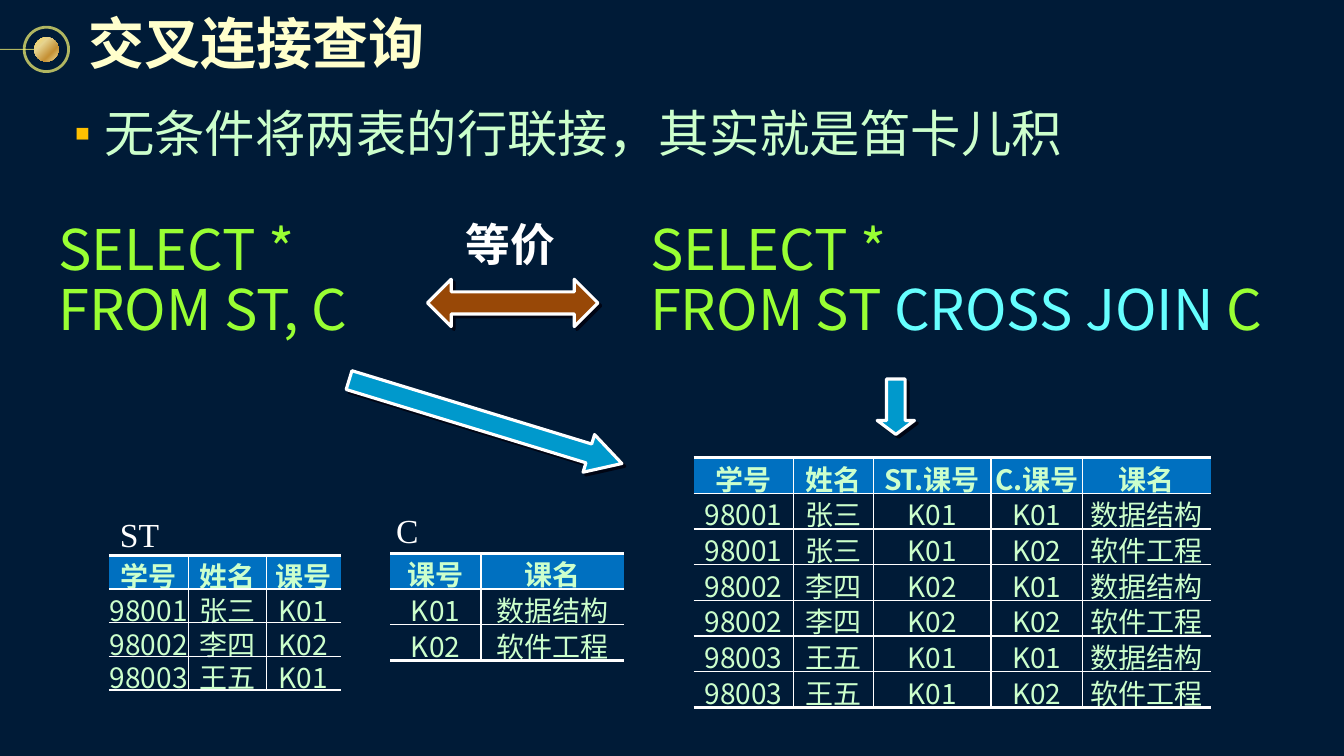
from lxml.etree import SubElement
from pptx import Presentation
from pptx.dml.color import RGBColor
from pptx.enum.shapes import MSO_CONNECTOR, MSO_SHAPE
from pptx.enum.text import MSO_ANCHOR, PP_ALIGN
from pptx.oxml.ns import qn
from pptx.util import Inches, Pt

NAVY = RGBColor(0x00, 0x1B, 0x37)
CREAM = RGBColor(0xFF, 0xFF, 0xCC)
MINT = RGBColor(0xCC, 0xFF, 0xCC)
LIME = RGBColor(0x99, 0xFF, 0x33)
CYAN = RGBColor(0x66, 0xFF, 0xFF)
WHITE = RGBColor(0xFF, 0xFF, 0xFF)
BLUE = RGBColor(0x00, 0x70, 0xC0)
TEAL = RGBColor(0x00, 0x99, 0xCC)
BROWN = RGBColor(0x98, 0x48, 0x07)
AMBER = RGBColor(0xFF, 0xC0, 0x00)
GOLD = RGBColor(0xFC, 0xF8, 0x73)
SHADE = RGBColor(0x00, 0x05, 0x14)
SHEEN = [(0, RGBColor(0xFC, 0xD8, 0x60)), (31, RGBColor(0xE6, 0xD3, 0x8F)),
         (68, RGBColor(0xC6, 0x91, 0x35)), (100, RGBColor(0xF1, 0xDF, 0x97))]

SANS = "Noto Sans CJK SC"
SERIF = "Times New Roman"
FLUSH = dict.fromkeys(
    ("margin_left", "margin_top", "margin_right", "margin_bottom"), 0)

JOINED = ["学号 姓名 ST.课号 C.课号 课名",
          "98001 张三 K01 K01 数据结构",
          "98001 张三 K01 K02 软件工程",
          "98002 李四 K02 K01 数据结构",
          "98002 李四 K02 K02 软件工程",
          "98003 王五 K01 K01 数据结构",
          "98003 王五 K01 K02 软件工程"]
STUDENTS = ["学号 姓名 课号", "98001 张三 K01", "98002 李四 K02", "98003 王五 K01"]
COURSES = ["课号 课名", "K01 数据结构", "K02 软件工程"]


def assign(item, values):
    for name, value in values.items():
        setattr(item, name, value)


def child(node, tag, **values):
    return SubElement(node, qn(tag), {k: str(v) for k, v in values.items()})


def color(node, rgb, alpha=100):
    tint = child(node, "a:srgbClr", val=rgb)
    if alpha < 100:
        child(tint, "a:alpha", val=alpha * 1000)


def box(left, top, width, height):
    return [Inches(n) for n in (left, top, width, height)]


def add_run(para, text, size, rgb, name=SANS, bold=False):
    run = para.add_run()
    run.text = text
    assign(run.font, {"size": Pt(size), "name": name, "bold": bold})
    run.font.color.rgb = rgb
    child(run.font._element, "a:ea", typeface=name)
    return run


def add_text(slide, place, lines, size, name=SANS, bold=False, frame=None, para=None):
    """Each line is a list of (text, colour) pairs."""
    body = slide.shapes.add_textbox(*box(*place)).text_frame
    assign(body, {"word_wrap": True, **(frame or {})})
    for i, line in enumerate(lines):
        item = body.add_paragraph() if i else body.paragraphs[0]
        assign(item, para or {})
        for text, rgb in line:
            add_run(item, text, size, rgb, name, bold)
    return body


def add_shadow(node, rgb):
    child(node, "a:outerShdw", blurRad=0, dist=Pt(2.8), dir=45 * 60000)
    color(node[-1], rgb)


def add_title(slide, text):
    title = slide.shapes.title
    values = dict(zip(("left", "top", "width", "height"), box(0.8, 0, 3.55, 0.83)))
    assign(title, values)
    edges = dict.fromkeys(FLUSH, Inches(0.08))
    assign(title.text_frame,
           {"word_wrap": False, "vertical_anchor": MSO_ANCHOR.MIDDLE, **edges})
    para = title.text_frame.paragraphs[0]
    para.alignment = PP_ALIGN.LEFT
    run = add_run(para, text, 40, CREAM, bold=True)
    effect = run.font._element.makeelement(qn("a:effectLst"))
    run.font._element.find(qn("a:solidFill")).addnext(effect)
    add_shadow(effect, SHADE)


def add_bullet(para):
    props = para._p.get_or_add_pPr()
    assign_xml = {"marL": Inches(0.3), "indent": -Inches(0.3)}
    for name, value in assign_xml.items():
        props.set(name, str(value))
    color(child(props, "a:buClr"), AMBER)
    child(props, "a:buSzPct", val=85000)
    child(props, "a:buFont", typeface=SANS)
    child(props, "a:buChar", char="▪")


def add_arrow(slide, kind, place, turn, head, rgb):
    arrow = slide.shapes.add_shape(kind, *box(*place))
    arrow.rotation = turn
    arrow.adjustments[0] = 0.5
    arrow.adjustments[1] = head
    arrow.fill.solid()
    arrow.fill.fore_color.rgb = rgb
    arrow.line.color.rgb = WHITE
    arrow.line.width = Pt(2.25)
    arrow.shadow.inherit = False
    add_shadow(arrow._element.spPr.find(qn("a:effectLst")), SHADE)


def set_edge(props, side, width):
    edge = child(props, f"a:ln{side}", w=Pt(width))
    if width:
        color(child(edge, "a:solidFill"), WHITE)
    else:
        child(edge, "a:noFill")


def add_grid(slide, place, widths, lines):
    rows = [line.split() for line in lines]
    last, end = len(rows) - 1, len(widths) - 1
    table = slide.shapes.add_table(len(rows), len(widths), *box(*place)).table
    assign(table, {"first_row": False, "horz_banding": False})
    for col, width in zip(table.columns, widths):
        col.width = Inches(width)
    for r, row in enumerate(rows):
        table.rows[r].height = Inches(place[3] / len(rows))
        for c, text in enumerate(row):
            cell = table.cell(r, c)
            assign(cell, FLUSH)
            edges = {"L": 1 if c else 0, "R": 1 if c < end else 0,
                     "T": 1 if r else 2.25, "B": 1 if r < last else 2.25}
            for side, width in edges.items():
                set_edge(cell._tc.get_or_add_tcPr(), side, width)
            if r:
                cell.fill.background()
            else:
                cell.fill.solid()
                cell.fill.fore_color.rgb = BLUE
            para = cell.text_frame.paragraphs[0]
            para.alignment = PP_ALIGN.CENTER
            add_run(para, text, 20, MINT, bold=r == 0)


def gild(line, width):
    line.color.rgb = GOLD
    line.width = Pt(width)
    tint = line._ln.find(qn("a:solidFill"))[0]
    child(tint, "a:alpha", val=70000)


def add_disc(slide, place):
    disc = slide.shapes.add_shape(MSO_SHAPE.OVAL, *box(*place))
    disc.rotation = 270
    disc.shadow.inherit = False
    disc.fill.background()
    return disc


def add_badge(slide):
    gild(add_disc(slide, (0.24, 0.27, 0.44, 0.44)).line, 2)
    rule = slide.shapes.add_connector(
        MSO_CONNECTOR.STRAIGHT, *box(0, 0.49, 0.34, 0.49))
    gild(rule.line, 0.75)
    child(rule._element.spPr, "a:effectLst")
    bead = add_disc(slide, (0.34, 0.37, 0.24, 0.24))
    bead.line.fill.background()
    blank = bead._element.spPr.find(qn("a:noFill"))
    fill = blank.makeelement(qn("a:gradFill"), {"rotWithShape": "1"})
    blank.getparent().replace(blank, fill)
    stops = child(fill, "a:gsLst")
    for pos, rgb in SHEEN:
        color(child(stops, "a:gs", pos=pos * 1000), rgb)
    child(fill, "a:lin", ang=135 * 60000, scaled=0)


def main():
    deck = Presentation()
    assign(deck, {"slide_width": Inches(13.33), "slide_height": Inches(7.5)})
    slide = deck.slides.add_slide(deck.slide_layouts[5])
    slide.background.fill.solid()
    slide.background.fill.fore_color.rgb = NAVY

    add_badge(slide)
    add_title(slide, "交叉连接查询")
    point = add_text(slide, (0.51, 0.96, 11.83, 0.71),
                     [[("无条件将两表的行联接，其实就是笛卡儿积", MINT)]], 36)
    add_bullet(point.paragraphs[0])

    add_grid(slide, (6.88, 4.54, 5.14, 2.48), (0.99, 0.79, 1.17, 0.91, 1.27), JOINED)
    add_grid(slide, (1.08, 5.51, 2.3, 1.33), (0.79, 0.77, 0.74), STUDENTS)
    add_grid(slide, (3.87, 5.49, 2.32, 1.06), (0.9, 1.42), COURSES)
    for text, place in (("ST", (1.19, 5.1, 0.39, 0.4)), ("C", (3.93, 5.06, 0.22, 0.4))):
        add_text(slide, place, [[(text, WHITE)]], 24, SERIF,
                 frame={"word_wrap": False, **FLUSH})

    tight = {"line_spacing": 0.9}
    add_text(slide, (6.35, 2.15, 6.7, 1.1),
             [[("SELECT *", LIME)],
              [("FROM ST ", LIME), ("CROSS JOIN", CYAN), (" C", LIME)]], 40, para=tight)
    add_text(slide, (0.48, 2.15, 3.74, 1.1),
             [[("SELECT *", LIME)], [("FROM ST, C", LIME)]], 40, para=tight)
    add_text(slide, (4.52, 2.1, 1.1, 0.64), [[("等价", WHITE)]], 32, bold=True)

    add_arrow(slide, MSO_SHAPE.UP_DOWN_ARROW, (4.85, 2.16, 0.47, 1.69), 270, 0.466, BROWN)
    add_arrow(slide, MSO_SHAPE.RIGHT_ARROW, (3.4, 3.99, 2.83, 0.39), 17, 0.879, TEAL)
    add_arrow(slide, MSO_SHAPE.RIGHT_ARROW, (8.61, 3.85, 0.55, 0.37), 90, 0.374, TEAL)
    deck.save("out.pptx")


if __name__ == "__main__":
    main()
